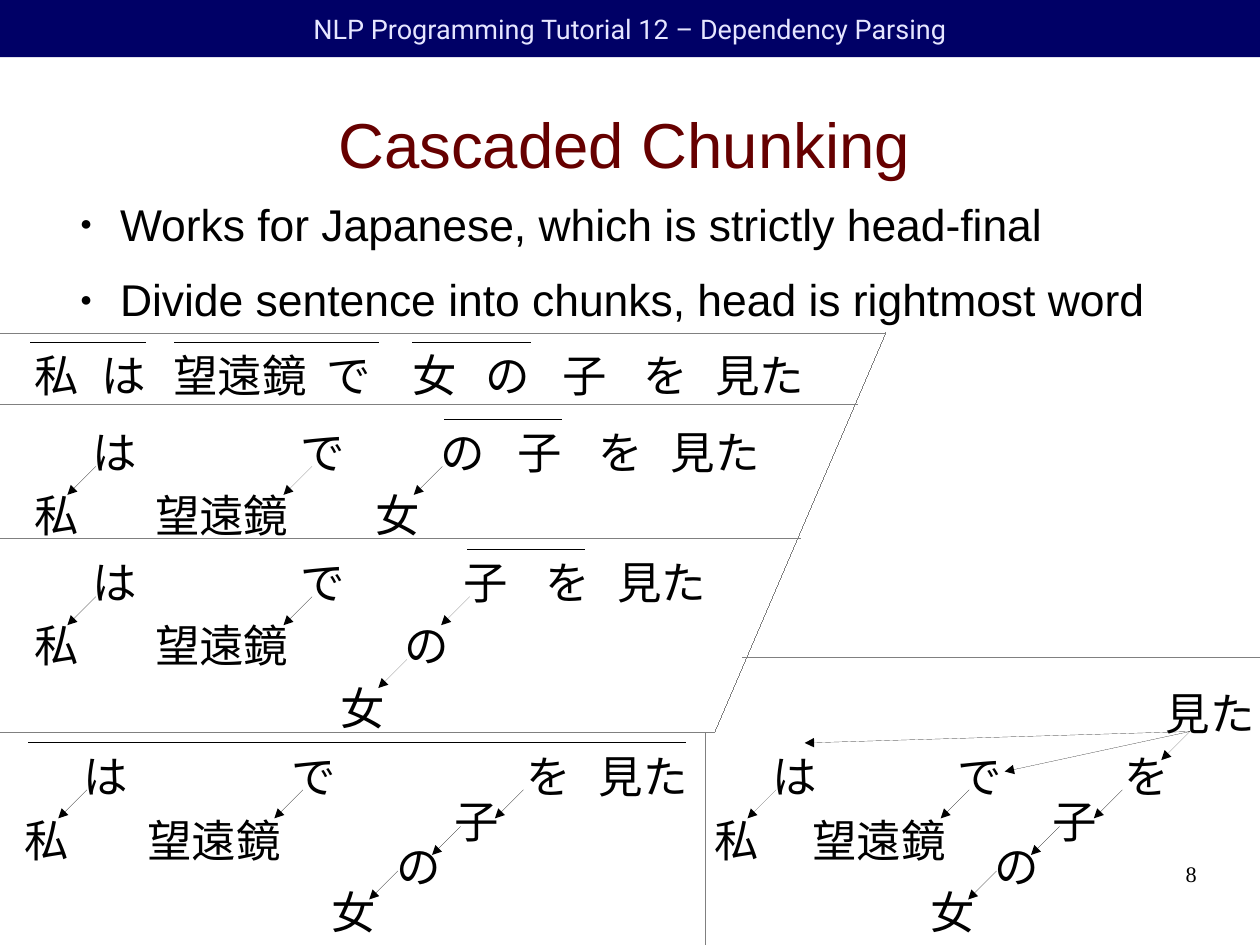
from dataclasses import dataclass

from lxml.etree import SubElement
from pptx import Presentation
from pptx.dml.color import RGBColor
from pptx.enum.shapes import MSO_CONNECTOR, MSO_SHAPE
from pptx.enum.text import MSO_ANCHOR, PP_ALIGN
from pptx.oxml.ns import qn
from pptx.shapes.base import BaseShape
from pptx.slide import Slide
from pptx.util import Cm, Pt

EMU_PER_PX = 9144  # 100 px to the inch
SLIDE_WIDTH, SLIDE_HEIGHT = Cm(28), Cm(21)
WORD_HEIGHT = 55
ARROW_REACH = 25


@dataclass(frozen=True)
class TextStyle:
    font: str
    size: int
    color: str
    align: PP_ALIGN = PP_ALIGN.LEFT
    anchor: MSO_ANCHOR = MSO_ANCHOR.TOP
    margin_x: int = 0
    margin_y: int = 0


@dataclass(frozen=True)
class Theme:
    banner: str = "000066"
    ink: str = "000000"
    divider: str = "808080"
    header: TextStyle = TextStyle(
        "Roboto", 17, "E6E6FF", PP_ALIGN.CENTER, MSO_ANCHOR.MIDDLE, 10, 5)
    title: TextStyle = TextStyle("Arial", 40, "660000", PP_ALIGN.CENTER, MSO_ANCHOR.MIDDLE)
    body: TextStyle = TextStyle("Arial", 28, "000000")
    word: TextStyle = TextStyle("Arial", 28, "000000", margin_x=10, margin_y=5)
    number: TextStyle = TextStyle("Times New Roman", 14, "000000", PP_ALIGN.RIGHT)


THEME = Theme()


@dataclass(frozen=True)
class Row:
    y: int
    words: tuple[tuple[str, int], ...]


@dataclass(frozen=True)
class Line:
    x1: int
    y1: int
    x2: int
    y2: int


@dataclass(frozen=True)
class Stage:
    """One chunking step: word rows, chunk overlines (left, right), arrow starts."""
    rows: tuple[Row, ...]
    overlines: tuple[tuple[int, int], ...] = ()
    arrow_starts: tuple[tuple[int, int], ...] = ()


STAGES = (
    Stage(
        (Row(300, (("私", 20), ("は", 79), ("望遠鏡", 142), ("で", 276), ("女", 351),
                   ("の", 415), ("子", 482), ("を", 553), ("見た", 616))),),
        overlines=((27, 127), (153, 331), (361, 464)),
    ),
    Stage(
        (Row(367, (("は", 71), ("で", 253), ("の", 376), ("子", 443), ("を", 514), ("見た", 577))),
         Row(422, (("私", 20), ("望遠鏡", 126), ("女", 319)))),
        overlines=((389, 491),),
        arrow_starts=((84, 408), (273, 408), (387, 408)),
    ),
    Stage(
        (Row(481, (("は", 71), ("で", 253), ("子", 396), ("を", 467), ("見た", 530))),
         Row(536, (("私", 20), ("望遠鏡", 126), ("の", 344))),
         Row(591, (("女", 288),))),
        overlines=((409, 511),),
        arrow_starts=((84, 522), (273, 522), (356, 577), (411, 522)),
    ),
    Stage(
        (Row(650, (("は", 63), ("で", 245), ("を", 451), ("見た", 514))),
         Row(690, (("子", 388),)),
         Row(706, (("私", 12), ("望遠鏡", 119))),
         Row(729, (("の", 337),)),
         Row(769, (("女", 280),))),
        overlines=((25, 600),),
        arrow_starts=((76, 691), (265, 691), (348, 762), (403, 723), (458, 691)),
    ),
    Stage(
        (Row(595, (("見た", 1010),)),
         Row(650, (("は", 666), ("で", 828), ("を", 974))),
         Row(690, (("子", 911),)),
         Row(706, (("私", 615), ("望遠鏡", 701))),
         Row(729, (("の", 860),)),
         Row(769, (("女", 804),))),
        arrow_starts=((679, 691), (848, 691), (872, 762), (927, 723), (982, 691), (1041, 640)),
    ),
)
LONG_ARROWS = (Line(1041, 640, 879, 675), Line(1041, 640, 704, 650))
DIVIDERS = (
    Line(0, 641, 625, 641),
    Line(617, 827, 617, 641),
    Line(775, 291, 625, 641),
    Line(775, 292, 0, 292),
    Line(750, 354, 0, 354),
    Line(700, 471, 0, 471),
    Line(650, 575, 1102, 575),
)
BULLETS = (
    "Works for Japanese, which is strictly head-final",
    "Divide sentence into chunks, head is rightmost word",
)


def px(length: int) -> int:
    return length * EMU_PER_PX


def write_text(shape: BaseShape, text: str, style: TextStyle) -> None:
    frame = shape.text_frame
    frame.text = text
    frame.word_wrap = True
    frame.vertical_anchor = style.anchor
    frame.margin_left = frame.margin_right = px(style.margin_x)
    frame.margin_top = frame.margin_bottom = px(style.margin_y)
    for paragraph in frame.paragraphs:
        paragraph.alignment = style.align
        for run in paragraph.runs:
            run.font.name = style.font
            run.font.size = Pt(style.size)
            run.font.color.rgb = RGBColor.from_string(style.color)


def add_text(slide: Slide, text: str, left: int, top: int, width: int, height: int,
             style: TextStyle) -> BaseShape:
    shape = slide.shapes.add_textbox(px(left), px(top), px(width), px(height))
    write_text(shape, text, style)
    return shape


def add_header(slide: Slide) -> None:
    banner = slide.shapes.add_shape(MSO_SHAPE.RECTANGLE, 0, 0, SLIDE_WIDTH, px(50))
    banner.shadow.inherit = False
    banner.fill.solid()
    banner.fill.fore_color.rgb = RGBColor.from_string(THEME.banner)
    banner.line.fill.background()
    write_text(banner, "NLP Programming Tutorial 12 – Dependency Parsing", THEME.header)


def add_bullets(slide: Slide) -> None:
    shape = add_text(slide, "\n".join(BULLETS), 58, 172, 992, 106, THEME.body)
    for paragraph in shape.text_frame.paragraphs:
        properties = paragraph._p.get_or_add_pPr()
        properties.set("marL", str(px(47)))
        properties.set("indent", str(px(-35)))
        color = SubElement(properties, qn("a:buClr"))
        SubElement(color, qn("a:srgbClr"), val=THEME.ink)
        SubElement(properties, qn("a:buSzPct"), val="45000")
        SubElement(properties, qn("a:buFont"), typeface=THEME.body.font)
        SubElement(properties, qn("a:buChar"), char="●")
        paragraph.space_after = Pt(14.2)


def add_line(slide: Slide, line: Line, color: str, arrow: bool = False) -> None:
    """Draw a hairline; its zero width has to be stated in the XML to take effect."""
    connector = slide.shapes.add_connector(
        MSO_CONNECTOR.STRAIGHT, px(line.x1), px(line.y1), px(line.x2), px(line.y2))
    connector.line.color.rgb = RGBColor.from_string(color)
    outline = connector._element.spPr.find(qn("a:ln"))
    outline.set("w", "0")
    if arrow:
        SubElement(outline, qn("a:tailEnd"), type="triangle")
    SubElement(connector._element.spPr, qn("a:effectLst"))


def add_stage(slide: Slide, stage: Stage) -> None:
    for row in stage.rows:
        for word, left in row.words:
            add_text(slide, word, left, row.y, 5 + 50 * len(word), WORD_HEIGHT, THEME.word)
    top = stage.rows[0].y
    for left, right in stage.overlines:
        add_line(slide, Line(left, top, right, top), THEME.ink)
    for x, y in stage.arrow_starts:
        add_line(slide, Line(x, y, x - ARROW_REACH, y + ARROW_REACH), THEME.ink, arrow=True)


def main() -> None:
    presentation = Presentation()
    presentation.slide_width = SLIDE_WIDTH
    presentation.slide_height = SLIDE_HEIGHT
    slide = presentation.slides.add_slide(presentation.slide_layouts[6])
    add_header(slide)
    add_text(slide, "Cascaded Chunking", 50, 62, 992, 127, THEME.title)
    add_bullets(slide)
    for stage in STAGES:
        add_stage(slide, stage)
    for line in LONG_ARROWS:
        add_line(slide, line, THEME.ink, arrow=True)
    for line in DIVIDERS:
        add_line(slide, line, THEME.divider)
    add_text(slide, "8", 790, 753, 257, 57, THEME.number)
    presentation.save("out.pptx")


if __name__ == "__main__":
    main()
